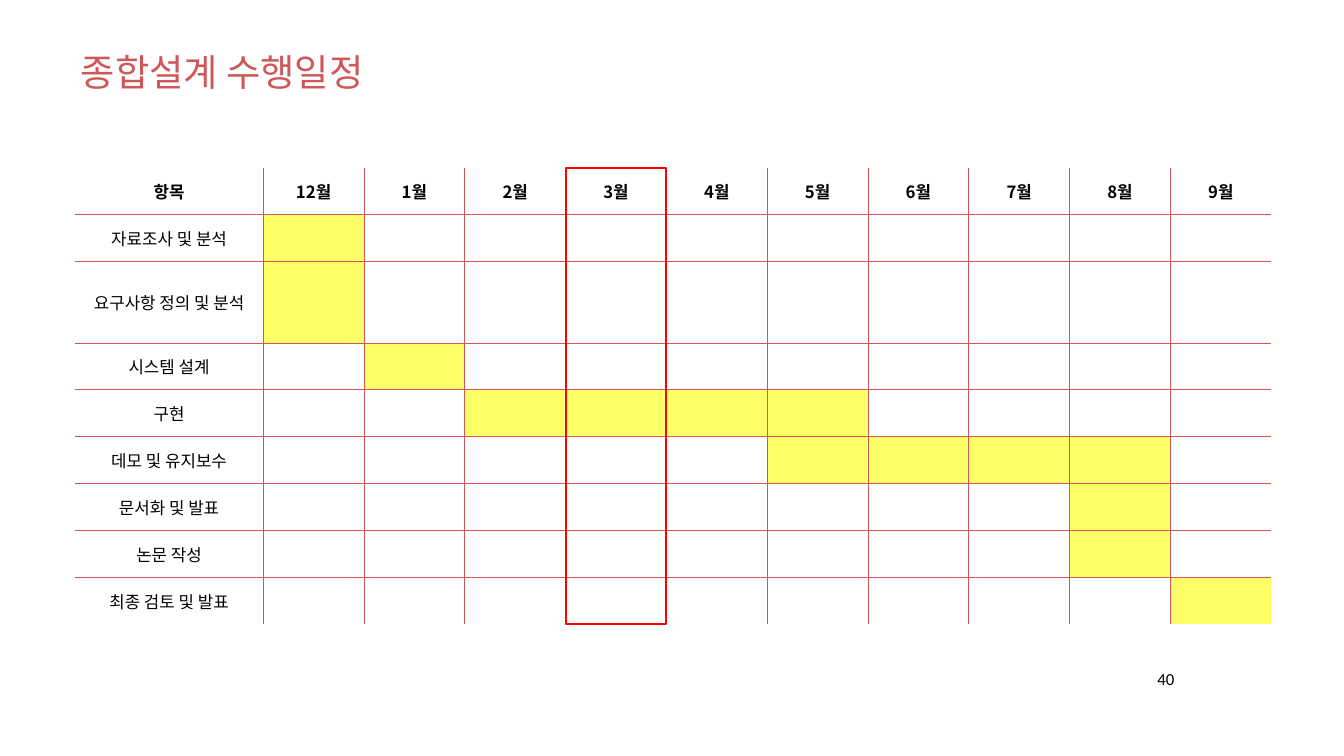
from dataclasses import dataclass

from lxml.etree import SubElement
from pptx import Presentation
from pptx.dml.color import RGBColor
from pptx.enum.shapes import MSO_SHAPE as Shape
from pptx.enum.text import MSO_ANCHOR as Anchor, PP_ALIGN as Align
from pptx.oxml.ns import qn
from pptx.util import Pt

PX = 9525  # EMU in one px
PAGE_SIZE = (1920, 1080)


@dataclass(frozen=True)
class Theme:
    accent: str = "D05757"
    ink: str = "000000"
    busy: str = "FFFF66"
    current: str = "FF0000"
    korean: str = "Noto Sans CJK KR"
    latin: str = "Calibri"
    title_size: int = 40
    body_size: int = 18
    grid_width: int = 1
    frame_width: int = 2


THEME = Theme()
MONTHS = ["12월", "1월", "2월", "3월", "4월", "5월", "6월", "7월", "8월", "9월"]
CURRENT_MONTH = "3월"
# Task, first month, last month
TASKS = [
    ("자료조사 및 분석", "12월", "12월"),
    ("요구사항 정의 및 분석", "12월", "12월"),
    ("시스템 설계", "1월", "1월"),
    ("구현", "2월", "5월"),
    ("데모 및 유지보수", "5월", "8월"),
    ("문서화 및 발표", "8월", "8월"),
    ("논문 작성", "8월", "8월"),
    ("최종 검토 및 발표", "9월", "9월"),
]
TALL_ROW = 2
TASK_WIDTH, MONTH_WIDTH = 269, 144
ROW_HEIGHT, TALL_HEIGHT = 67, 116


def emu(*lengths):
    return [length * PX for length in lengths]


def write(frame, text, size=THEME.body_size, font=THEME.korean,
          color=THEME.ink, bold=False, align=Align.LEFT):
    para = frame.paragraphs[0]
    para.alignment = align
    span = para.add_run()
    span.text = text
    span.font.size = Pt(size)
    span.font.bold = bold
    span.font.color.rgb = RGBColor.from_string(color)
    span.font.name = font
    SubElement(span.font._element, qn("a:ea"), typeface=font)


def add_text(page, box, text, **text_format):
    frame = page.shapes.add_textbox(*emu(*box)).text_frame
    frame.word_wrap = True
    write(frame, text, **text_format)


def set_borders(cell, sides):
    """Draw grid lines on the named sides (L, R, T, B) and hide the others."""
    properties = cell._tc.get_or_add_tcPr()
    for side in "LRTB":
        line = SubElement(properties, qn(f"a:ln{side}"),
                          w=str(Pt(THEME.grid_width)))
        if side in sides:
            fill = SubElement(line, qn("a:solidFill"))
            SubElement(fill, qn("a:srgbClr"), val=THEME.accent)
        else:
            SubElement(line, qn("a:noFill"))


def style_cell(cell, sides, busy):
    set_borders(cell, sides)
    cell.vertical_anchor = Anchor.MIDDLE
    if busy:
        cell.fill.solid()
        cell.fill.fore_color.rgb = RGBColor.from_string(THEME.busy)
    else:
        cell.fill.background()


def add_schedule(page, left, top):
    widths = [TASK_WIDTH] + [MONTH_WIDTH] * len(MONTHS)
    heights = [ROW_HEIGHT] * (len(TASKS) + 1)
    heights[TALL_ROW] = TALL_HEIGHT
    box = (left, top, sum(widths), sum(heights))
    table = page.shapes.add_table(len(heights), len(widths), *emu(*box)).table
    table.first_row = table.horz_banding = False
    for column, width in zip(table.columns, widths):
        column.width = width * PX
    for row, height in zip(table.rows, heights):
        row.height = height * PX

    last_row, last_column = len(heights) - 1, len(widths) - 1
    for r in range(len(heights)):
        for c in range(len(widths)):
            inner = {"L": c > 0, "R": c < last_column,
                     "T": r > 0, "B": r < last_row}
            busy = False
            if r and c:
                _, first, last = TASKS[r - 1]
                busy = MONTHS.index(first) < c <= MONTHS.index(last) + 1
            sides = [side for side, shown in inner.items() if shown]
            style_cell(table.cell(r, c), sides, busy)

    for c, heading in enumerate(["항목"] + MONTHS):
        write(table.cell(0, c).text_frame, heading, bold=True,
              align=Align.CENTER)
    for r, (task, _, _) in enumerate(TASKS, start=1):
        write(table.cell(r, 0).text_frame, task, align=Align.CENTER)

    month_left = left + TASK_WIDTH + MONTHS.index(CURRENT_MONTH) * MONTH_WIDTH
    add_month_frame(page, (month_left, top, MONTH_WIDTH, sum(heights)))


def add_month_frame(page, box):
    frame = page.shapes.add_shape(Shape.RECTANGLE, *emu(*box))
    frame.shadow.inherit = False
    frame.fill.background()
    frame.line.color.rgb = RGBColor.from_string(THEME.current)
    frame.line.width = Pt(THEME.frame_width)


def main():
    deck = Presentation()
    deck.slide_width, deck.slide_height = emu(*PAGE_SIZE)
    page = deck.slides.add_slide(deck.slide_layouts[6])
    add_text(page, (106, 66, 526, 74), "종합설계 수행일정",
             size=THEME.title_size, color=THEME.accent)
    add_schedule(page, 107, 240)
    add_text(page, (1644, 950, 45, 38), "40", font=THEME.latin)
    deck.save("out.pptx")


if __name__ == "__main__":
    main()
